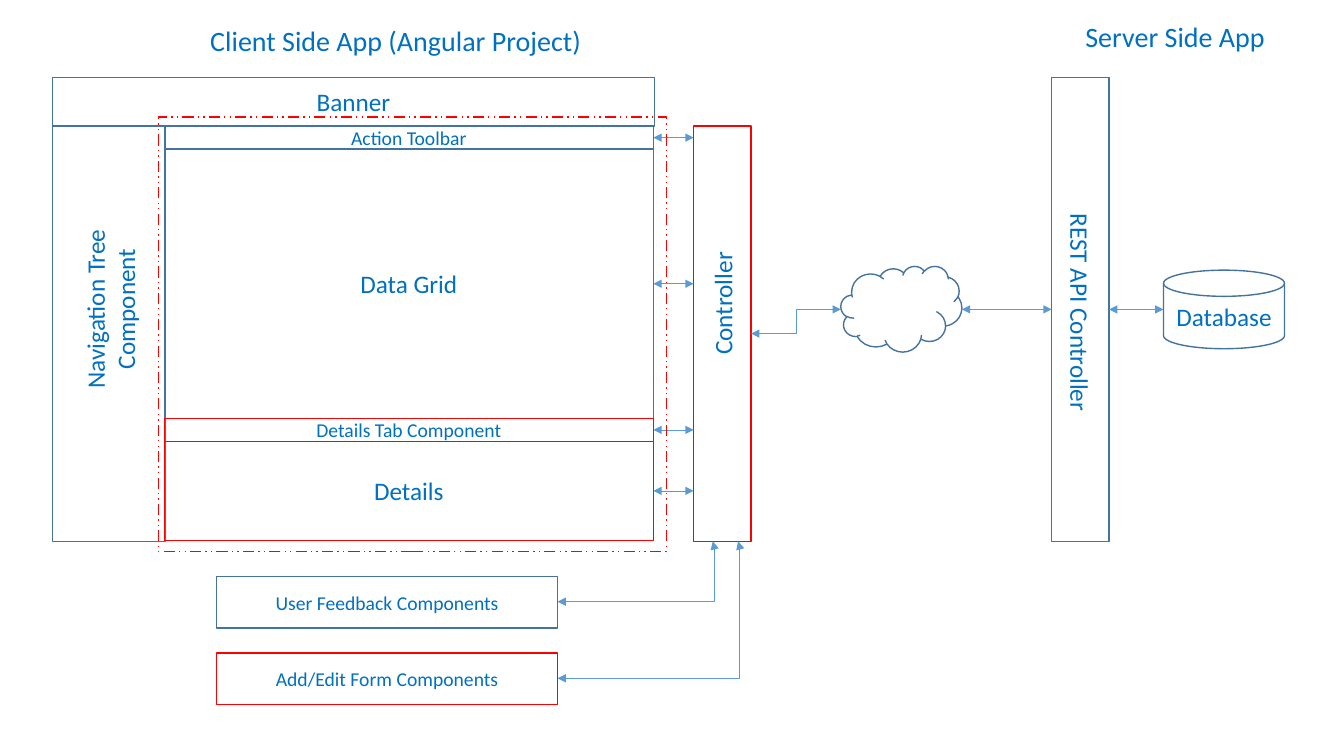
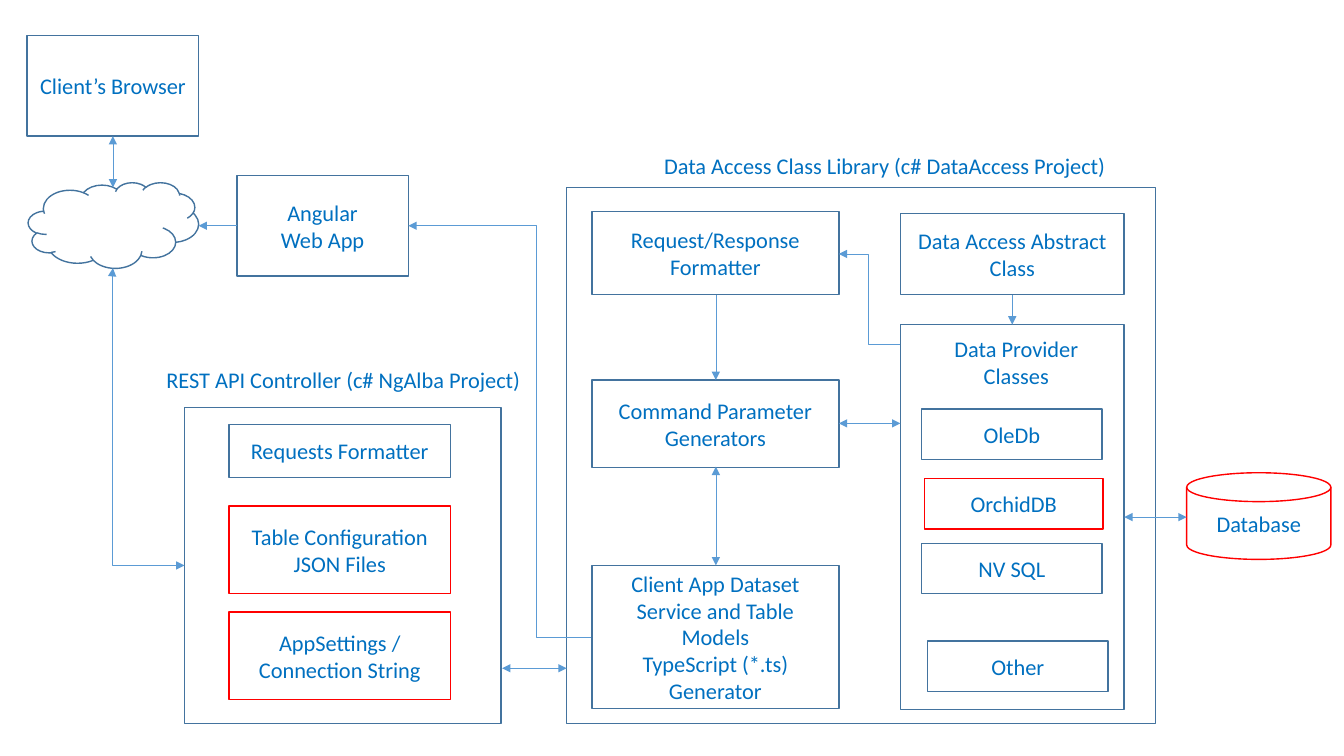
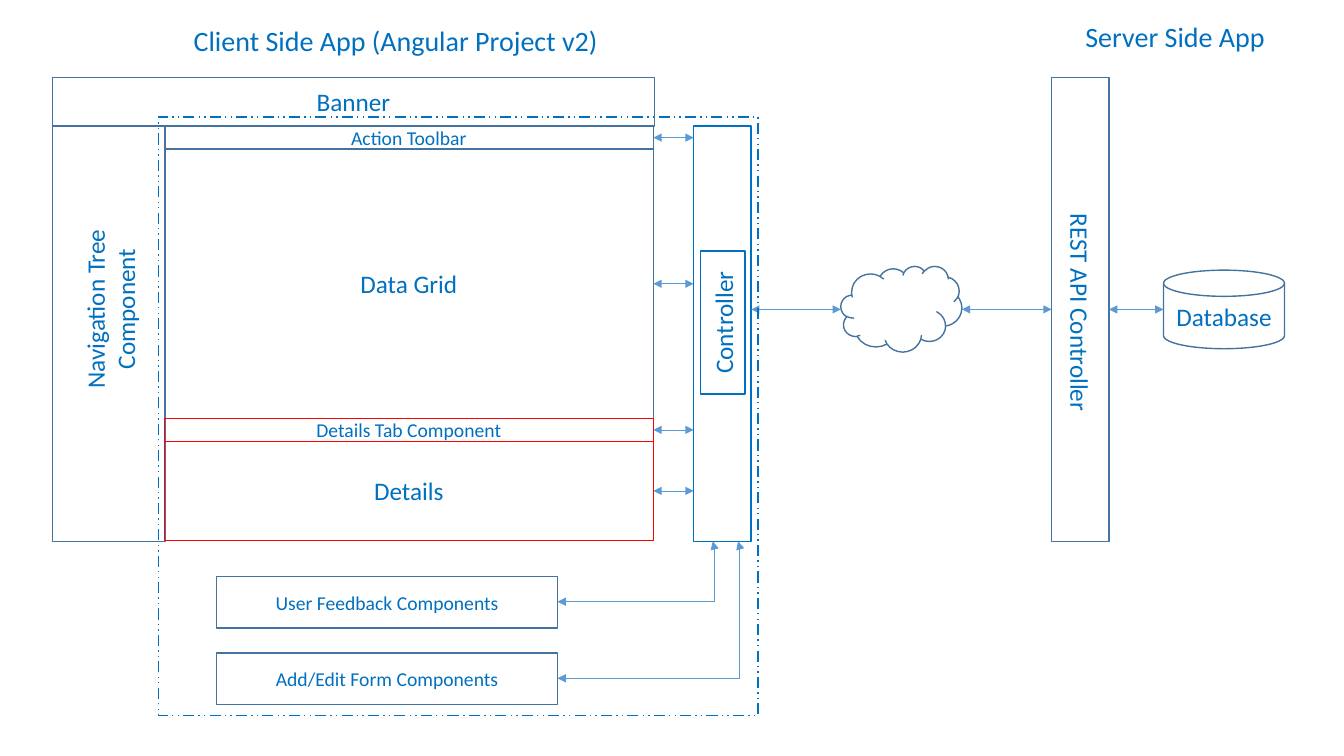
"""Build three architecture diagrams of a client and server web application."""
from dataclasses import dataclass
from typing import Optional, Union

from lxml import etree
from pptx import Presentation
from pptx.dml.color import RGBColor
from pptx.enum.dml import MSO_LINE
from pptx.enum.shapes import MSO_CONNECTOR, MSO_SHAPE
from pptx.enum.text import MSO_ANCHOR, MSO_AUTO_SIZE, PP_ALIGN
from pptx.oxml.ns import qn
from pptx.util import Inches, Pt

RECT = MSO_SHAPE.RECTANGLE
CLOUD = MSO_SHAPE.CLOUD
DISK = MSO_SHAPE.FLOWCHART_MAGNETIC_DISK
STRAIGHT = MSO_CONNECTOR.STRAIGHT
ELBOW = MSO_CONNECTOR.ELBOW
DASH = MSO_LINE.DASH_DOT_DOT
CENTER = PP_ALIGN.CENTER
MIDDLE = MSO_ANCHOR.MIDDLE
NO_FIT = MSO_AUTO_SIZE.NONE

FONT = "Calibri"
COLORS = {"text": "0070C0", "steel": "43739E", "red": "FF0000", "link": "5B9BD5"}
TITLE_ONLY, BLANK = 5, 6
CORNER = 1.01


@dataclass
class Box:
    x: float
    y: float
    w: float
    h: float
    text: str = ""
    size: int = 16
    color: str = "steel"
    kind: MSO_SHAPE = RECT
    rotation: int = 0
    dashed: bool = False


@dataclass
class Label:
    x: float
    y: float
    w: float
    h: float
    text: str
    size: int = 16
    rotation: int = 0


@dataclass
class Link:
    x1: float
    y1: float
    x2: float
    y2: float
    bend: Optional[float] = None
    head: bool = True


@dataclass
class Variant:
    title: str
    accent: str
    form_color: str
    controller: Union[Box, Label]
    controller_y: float
    frame: Box


def rgb(name: str) -> RGBColor:
    return RGBColor.from_string(COLORS[name])


def write(sp, text: str, size: int) -> None:
    tf = sp.text_frame
    tf.text = text
    tf.word_wrap = True
    tf.auto_size = NO_FIT
    tf.vertical_anchor = MIDDLE
    for p in tf.paragraphs:
        p.alignment = CENTER
        p.font.name = FONT
        p.font.size = Pt(size)
        p.font.color.rgb = rgb("text")


def place(sp, label: Label) -> None:
    sp.left, sp.top = Inches(label.x), Inches(label.y)
    sp.width, sp.height = Inches(label.w), Inches(label.h)
    write(sp, label.text, label.size)


def draw_box(s, box: Box) -> None:
    sp = s.shapes.add_shape(box.kind, Inches(box.x), Inches(box.y),
                            Inches(box.w), Inches(box.h))
    sp.shadow.inherit = False
    sp.fill.background()
    sp.line.color.rgb = rgb(box.color)
    sp.line.width = Pt(1)
    sp.rotation = box.rotation
    if box.dashed:
        sp.line.dash_style = DASH
    if box.text:
        write(sp, box.text, box.size)


def draw_label(s, label: Label) -> None:
    sp = s.shapes.add_textbox(0, 0, 0, 0)
    place(sp, label)
    sp.rotation = label.rotation


def draw_link(s, link: Link) -> None:
    kind = STRAIGHT if link.bend is None else ELBOW
    cxn = s.shapes.add_connector(kind, Inches(link.x1), Inches(link.y1),
                                 Inches(link.x2), Inches(link.y2))
    cxn.line.color.rgb = rgb("link")
    cxn.line.width = Pt(0.5)
    sp_pr = cxn._element.spPr
    ln = sp_pr.find(qn("a:ln"))
    if link.head:
        etree.SubElement(ln, qn("a:headEnd"), type="triangle")
    etree.SubElement(ln, qn("a:tailEnd"), type="triangle")
    etree.SubElement(sp_pr, qn("a:effectLst"))
    if link.bend is not None:
        geom = sp_pr.find(qn("a:prstGeom"))
        av_lst = geom.find(qn("a:avLst"))
        if av_lst is None:
            av_lst = etree.SubElement(geom, qn("a:avLst"))
        etree.SubElement(av_lst, qn("a:gd"), name="adj1",
                         fmla=f"val {round(link.bend * 100000)}")


DRAW = {Box: draw_box, Label: draw_label, Link: draw_link}


def draw(s, items: list) -> None:
    for item in items:
        DRAW[type(item)](s, item)


def app_slide(prs, v: Variant) -> None:
    s = prs.slides.add_slide(prs.slide_layouts[TITLE_ONLY])
    place(s.shapes.title, Label(1.77, 0.19, 4.31, 0.41, v.title, 20))
    draw(s, [
        Label(10.57, 0.16, 2.17, 0.4, "Server Side App", 20),
        Box(6.88, 1.25, 0.57, 4.12, color=v.accent),
        v.controller,
        Box(0.52, 1.25, 1.12, 4.12),
        Box(0.52, 0.77, 5.97, 0.48, "Banner", 18),
        Label(0.14, 2.78, 1.9, 0.57, "Navigation Tree Component", 18, 270),
    ])
    rows = [
        ("Action Toolbar", 0.23, 14, "steel"),
        ("Data Grid", 2.67, 18, "steel"),
        ("Details Tab Component", 0.23, 14, "red"),
        ("Details", 0.98, 18, "red"),
    ]
    y = 1.25
    for text, h, size, color in rows:
        draw(s, [Box(1.63, y, 4.85, h, text, size, color),
                 Link(6.48, y + h / 2, 6.88, y + h / 2)])
        y += h
    components = [
        ("User Feedback Components", 5.72, "steel", 7.07),
        ("Add/Edit Form Components", 6.48, v.form_color, 7.32),
    ]
    for text, top, color, x in components:
        draw(s, [Box(2.15, top, 3.38, 0.51, text, 14, color),
                 Link(5.53, top + 0.25, x, 5.37, CORNER)])
    bend = None if v.controller_y == 3.07 else 0.5
    draw(s, [
        Box(10.43, 0.77, 0.57, 4.6),
        Label(8.9, 2.88, 3.63, 0.44, "REST API Controller", 18, 90),
        Box(11.54, 2.68, 1.2, 0.78, "Database", 18, kind=DISK),
        Box(8.34, 2.64, 1.2, 0.85, kind=CLOUD),
        Link(7.45, v.controller_y, 8.34, 3.07, bend),
        Link(9.54, 3.07, 10.43, 3.07),
        Link(11, 3.07, 11.54, 3.07),
        v.frame,
    ])


def library_slide(prs) -> None:
    s = prs.slides.add_slide(prs.slide_layouts[BLANK])
    draw(s, [
        Box(0.27, 0.35, 1.7, 1, "Client’s Browser"),
        Box(0.28, 1.81, 1.69, 0.85, kind=CLOUD),
        Box(2.35, 1.74, 1.7, 1, "Angular\nWeb App"),
        Label(1.5, 3.51, 3.81, 0.51, "REST API Controller (c# NgAlba Project)"),
        Box(1.83, 4.04, 3.14, 3.14),
        Box(2.27, 4.21, 2.2, 0.53, "Requests Formatter"),
        Box(2.27, 5.02, 2.2, 0.87, "Table Configuration JSON Files", color="red"),
        Box(2.27, 6.07, 2.2, 0.87, "AppSettings / Connection String", color="red"),
        Label(6.1, 1.52, 5.35, 0.25,
              "Data Access Class Library (c# DataAccess Project)"),
        Box(5.62, 1.86, 5.84, 5.32),
        Box(5.87, 2.1, 2.45, 0.82, "Request/Response Formatter"),
        Box(5.87, 3.77, 2.45, 0.87, "Command Parameter Generators"),
        Box(5.87, 5.61, 2.45, 1.42, "Client App Dataset Service and Table Models\n"
            "TypeScript (*.ts) Generator"),
        Box(8.93, 2.12, 2.22, 0.8, "Data Access Abstract Class"),
        Box(8.93, 3.22, 2.22, 3.82),
        Label(9.08, 3.37, 2, 0.45, "Data Provider Classes"),
        Box(9.14, 4.06, 1.79, 0.5, "OleDb"),
        Box(9.17, 4.75, 1.77, 0.5, "OrchidDB", color="red"),
        Box(9.14, 5.39, 1.79, 0.5, "NV SQL"),
        Box(9.2, 6.36, 1.79, 0.5, "Other"),
        Box(11.77, 4.69, 1.43, 0.86, "Database", color="red", kind=DISK),
        Link(1.12, 1.35, 1.12, 1.86),
        Link(2.35, 2.24, 1.97, 2.24, head=False),
        Link(1.83, 5.61, 1.12, 2.66, CORNER),
        Link(4.98, 6.63, 5.62, 6.63),
        Link(5.86, 6.32, 4.05, 2.24, 0.3, head=False),
        Link(7.1, 2.93, 7.1, 3.77, head=False),
        Link(7.1, 4.63, 7.1, 5.61),
        Link(8.32, 4.2, 8.93, 4.2),
        Link(8.93, 3.42, 8.32, 2.52, 0.52, head=False),
        Link(10.04, 2.93, 10.04, 3.22, head=False),
        Link(11.15, 5.13, 11.77, 5.13),
    ])


def main() -> None:
    prs = Presentation()
    prs.slide_width, prs.slide_height = Inches(13.33), Inches(7.5)
    app_slide(prs, Variant(
        "Client Side App (Angular Project)", "red", "red",
        Label(6.27, 2.79, 1.79, 0.44, "Controller", 18, 270), 3.31,
        Box(1.57, 1.16, 5.04, 4.31, color="red", dashed=True)))
    library_slide(prs)
    app_slide(prs, Variant(
        "Client Side App (Angular Project v2)", "text", "steel",
        Box(6.46, 2.98, 1.42, 0.44, "Controller", 18, "text", rotation=270), 3.07,
        Box(1.57, 1.16, 5.95, 5.94, color="text", dashed=True)))
    prs.save("out.pptx")


if __name__ == "__main__":
    main()
